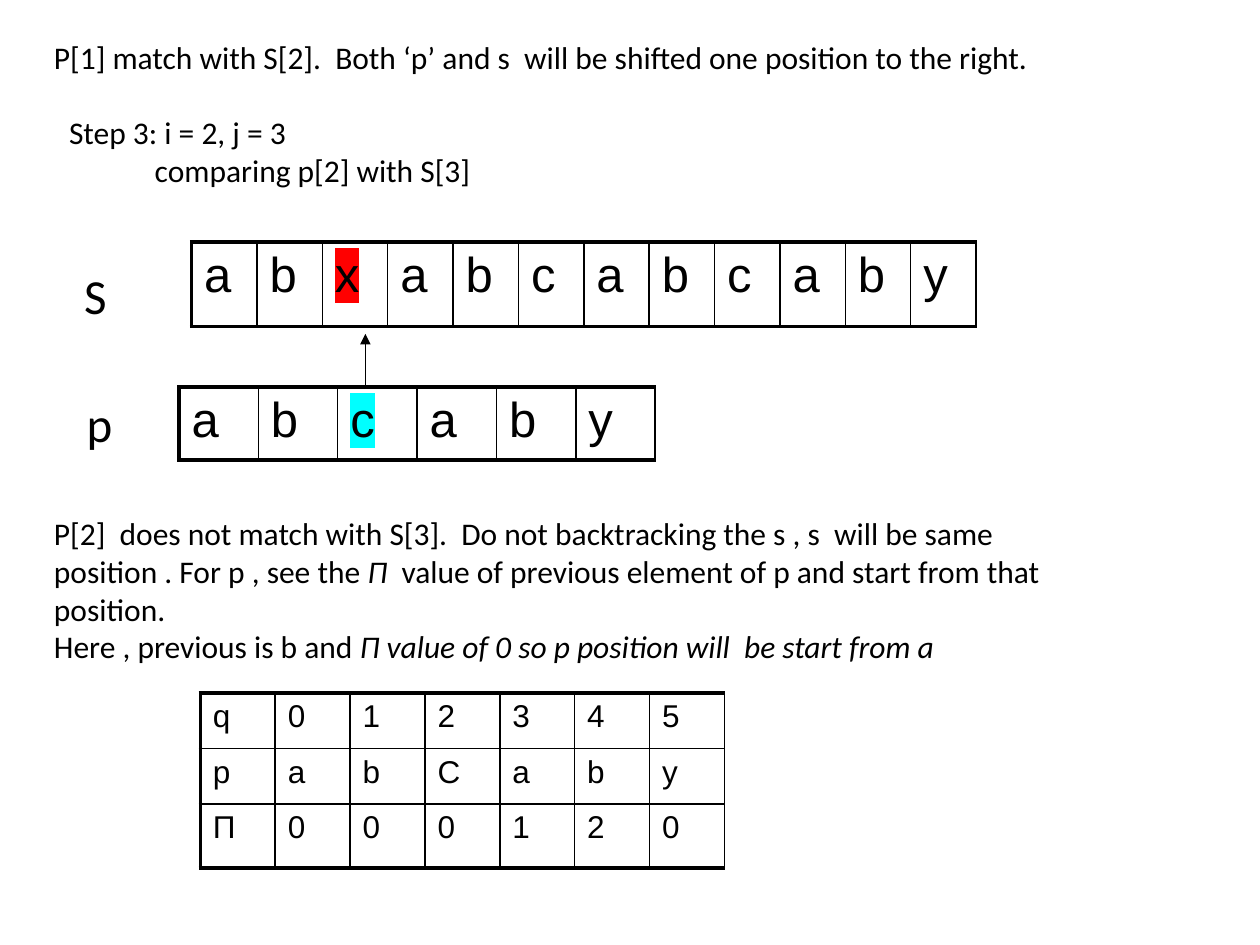
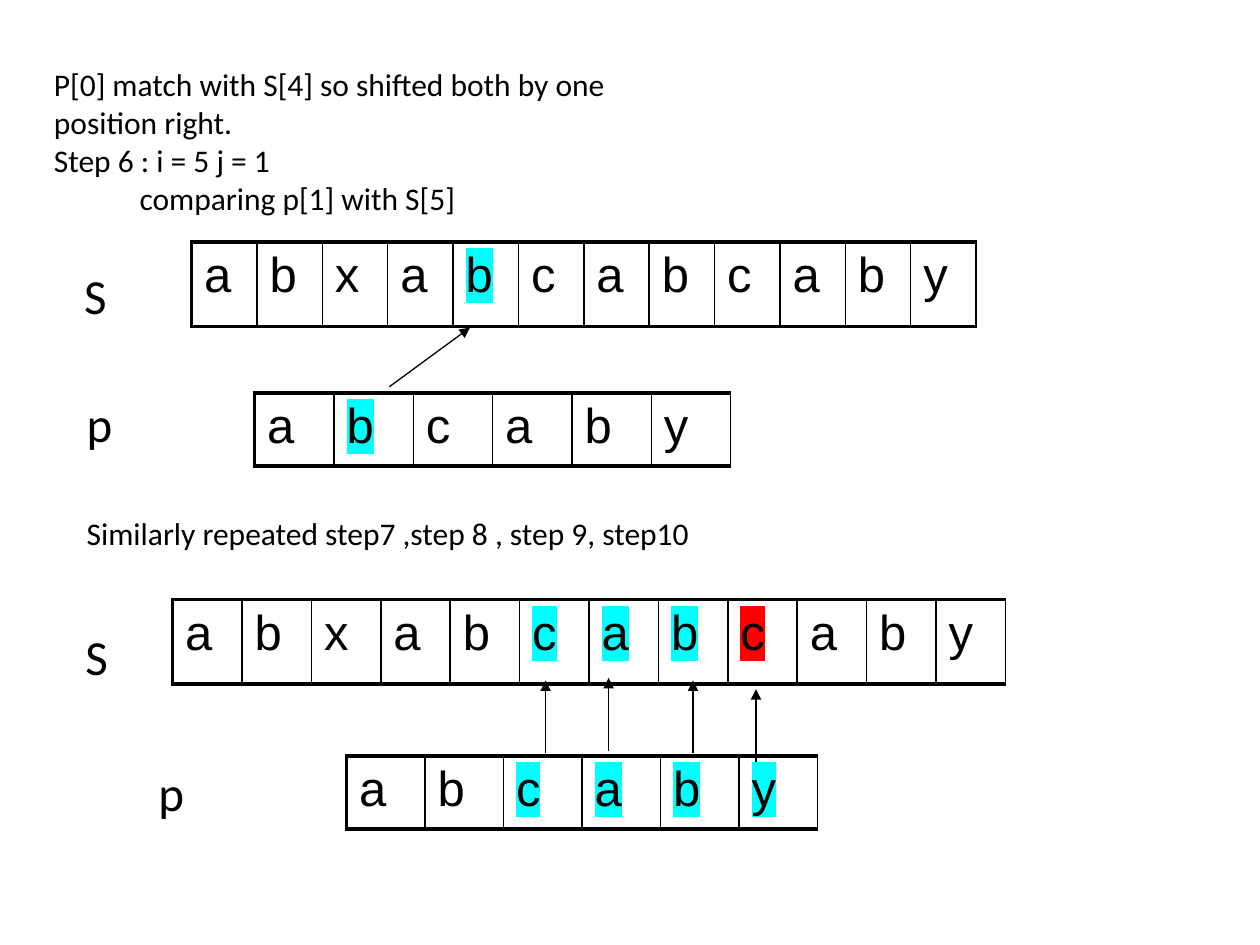
from dataclasses import dataclass

from lxml import etree
from pptx import Presentation
from pptx.dml.color import RGBColor
from pptx.enum.shapes import MSO_CONNECTOR
from pptx.enum.text import MSO_ANCHOR
from pptx.oxml.ns import qn
from pptx.util import Inches, Pt

STRAIGHT = MSO_CONNECTOR.STRAIGHT
TOP = MSO_ANCHOR.TOP
BLANK_LAYOUT = 6


@dataclass(frozen=True)
class Theme:
    """Colours, fonts, type sizes and line widths of the deck."""
    ink: str = "000000"
    match: str = "00FFFF"
    mismatch: str = "FF0000"
    text_font: str = "Calibri"
    cell_font: str = "Arial"
    body: int = 18
    large: int = 28
    outer_line: float = 2.25
    inner_line: float = 1
    arrow_line: float = 0.75


THEME = Theme()
TEXT_S = "abxabcabcaby"
PATTERN = "abcaby"
STEP_INDENT = 0.68


def add_solid(parent, tag, color):
    """Append an element of the given tag that holds an RGB colour."""
    etree.SubElement(etree.SubElement(parent, qn(tag)), qn("a:srgbClr"), val=color)


class Deck:
    """Holds the theme and the current slide, and draws each kind of element."""

    def __init__(self, theme):
        self.theme = theme
        self.prs = Presentation()
        self.prs.slide_width, self.prs.slide_height = Inches(10), Inches(7.5)
        self.slide = None

    def new_slide(self):
        """Start an empty slide."""
        layout = self.prs.slide_layouts[BLANK_LAYOUT]
        self.slide = self.prs.slides.add_slide(layout)

    def style(self, paragraph, font_name, size):
        """Give a paragraph its font, size and colour."""
        font = paragraph.font
        font.name, font.size = font_name, Pt(size)
        font.color.rgb = RGBColor.from_string(self.theme.ink)

    def text(self, left, top, width, height, paragraphs, size=None):
        """Draw paragraphs, each an (indent, run, ...) tuple; odd runs are italic."""
        box = self.slide.shapes.add_textbox(
            Inches(left), Inches(top), Inches(width), Inches(height))
        frame = box.text_frame
        frame.word_wrap, frame.vertical_anchor = True, TOP
        for number, (indent, *pieces) in enumerate(paragraphs):
            paragraph = frame.add_paragraph() if number else frame.paragraphs[0]
            if indent:
                paragraph._p.get_or_add_pPr().set("marL", str(Inches(indent)))
            self.style(paragraph, self.theme.text_font, size or self.theme.body)
            for position, piece in enumerate(pieces):
                run = paragraph.add_run()
                run.text = piece
                if position % 2:
                    run.font.italic = True

    def label(self, letter, left, top):
        """Draw the large letter that names a row of cells."""
        self.text(left, top, 0.46, 0.55, [(0, letter)], self.theme.large)

    def arrow(self, start, end):
        """Draw a thin arrow from start to end, both (x, y)."""
        line = self.slide.shapes.add_connector(
            STRAIGHT, *(Inches(value) for value in (*start, *end)))
        line.line.color.rgb = RGBColor.from_string(self.theme.ink)
        line.line.width = Pt(self.theme.arrow_line)
        etree.SubElement(line.line._get_or_add_ln(), qn("a:tailEnd"), type="triangle")
        etree.SubElement(line._element.spPr, qn("a:effectLst"))

    def borders(self, cell, heavy_sides):
        """Rule all four sides of a cell, the outer ones heavier."""
        properties = cell._tc.get_or_add_tcPr()
        for side in "LRTB":
            width = (self.theme.outer_line if side in heavy_sides
                     else self.theme.inner_line)
            edge = etree.SubElement(properties, qn(f"a:ln{side}"), w=str(Pt(width)))
            add_solid(edge, "a:solidFill", self.theme.ink)

    def cell(self, cell, letter, size, heavy_sides, mark):
        """Fill one cell with a letter, highlighted if a mark colour is given."""
        self.borders(cell, heavy_sides)
        cell.fill.background()
        paragraph = cell.text_frame.paragraphs[0]
        spacing = etree.SubElement(paragraph._p.get_or_add_pPr(), qn("a:spcBef"))
        etree.SubElement(spacing, qn("a:spcPct"), val="20000")
        self.style(paragraph, self.theme.cell_font, size)
        run = paragraph.add_run()
        run.text = letter
        if mark:
            add_solid(run._r.get_or_add_rPr(), "a:highlight", mark)

    def table(self, left, top, width, rows, heights, size=None, marks=None):
        """Draw equal columns of letters; marks maps a column to its highlight."""
        columns = len(rows[0])
        frame = self.slide.shapes.add_table(
            len(rows), columns, Inches(left), Inches(top),
            Inches(width), Inches(sum(heights)))
        grid = frame.table
        grid.first_row = grid.horz_banding = False
        for column in grid.columns:
            column.width = Inches(width / columns)
        for r, (letters, height) in enumerate(zip(rows, heights)):
            grid.rows[r].height = Inches(height)
            for c, letter in enumerate(letters):
                heavy = (("L" if c == 0 else "") + ("T" if r == 0 else "")
                         + ("B" if r == len(rows) - 1 else ""))
                self.cell(grid.cell(r, c), letter, size or self.theme.large,
                          heavy, (marks or {}).get(c))

    def string_s(self, left, top, width, marks):
        """Draw the searched string S."""
        self.table(left, top, width, [TEXT_S], [0.67], marks=marks)

    def pattern(self, left, top, marks, width=3.78):
        """Draw the pattern p."""
        self.table(left, top, width, [PATTERN], [0.58], marks=marks)


def mismatch_slide(deck):
    """Step 3: the pattern fails and falls back on its prefix table."""
    deck.new_slide()
    deck.text(0.33, 0.25, 8.42, 0.85, [
        (0, "P[1] match with S[2].  Both ‘p’ and s  will be shifted "
            "one position to the right.")])
    deck.text(0.45, 0.85, 3.5, 0.71, [
        (0, "Step 3: i = 2, j = 3"),
        (STEP_INDENT, "comparing p[2] with S[3]")])
    deck.label("S", 0.57, 2.06)
    deck.label("p", 0.59, 3.07)
    deck.arrow((2.9, 3.07), (2.9, 2.65))
    deck.string_s(1.52, 1.92, 6.23, {2: THEME.mismatch})
    deck.pattern(1.42, 3.07, {2: THEME.match})
    deck.text(0.33, 4.03, 8.42, 1.4, [
        (0, "P[2]  does not match with S[3].  Do not backtracking the s , s  "
            "will be same  position . For p , see the ", "Π  ",
            "value of previous element of p and start from that position."),
        (0, "Here , previous is b and ",
            "Π value of 0 so p position will  be start from a")])
    deck.table(1.59, 5.5, 4.16, ["q012345", "pabCaby", "Π000120"],
               [0.44, 0.44, 0.51], size=THEME.body)


def match_slide(deck):
    """Step 6 and the repeated steps after it."""
    deck.new_slide()
    deck.text(0.33, 0.47, 5.17, 1.31, [
        (0, "P[0] match with S[4] so shifted both by one position right."),
        (0, "Step 6 : i = 5 j = 1"),
        (STEP_INDENT, "comparing p[1] with S[5]")])
    deck.label("S", 0.57, 2.06)
    deck.label("p", 0.59, 3.07)
    deck.arrow((3.09, 3.07), (3.73, 2.6))
    deck.string_s(1.52, 1.92, 6.23, {4: THEME.match})
    deck.pattern(2.02, 3.12, {1: THEME.match})

    deck.text(0.59, 4.03, 8.33, 0.5, [
        (0, "Similarly repeated step7 ,step 8 , step 9, step10")])
    deck.label("S", 0.58, 4.92)
    deck.label("p", 1.16, 6)
    deck.string_s(1.37, 4.76, 6.61, {
        **dict.fromkeys((5, 6, 7), THEME.match), 8: THEME.mismatch})
    deck.pattern(2.75, 6, dict.fromkeys(range(2, 6), THEME.match), width=3.74)
    for x, bottom in ((4.33, 5.98), (4.83, 5.96), (5.5, 5.98), (6, 6.05)):
        deck.arrow((x, bottom), (x, bottom - 0.58))


deck = Deck(THEME)
mismatch_slide(deck)
match_slide(deck)
deck.prs.save("out.pptx")
